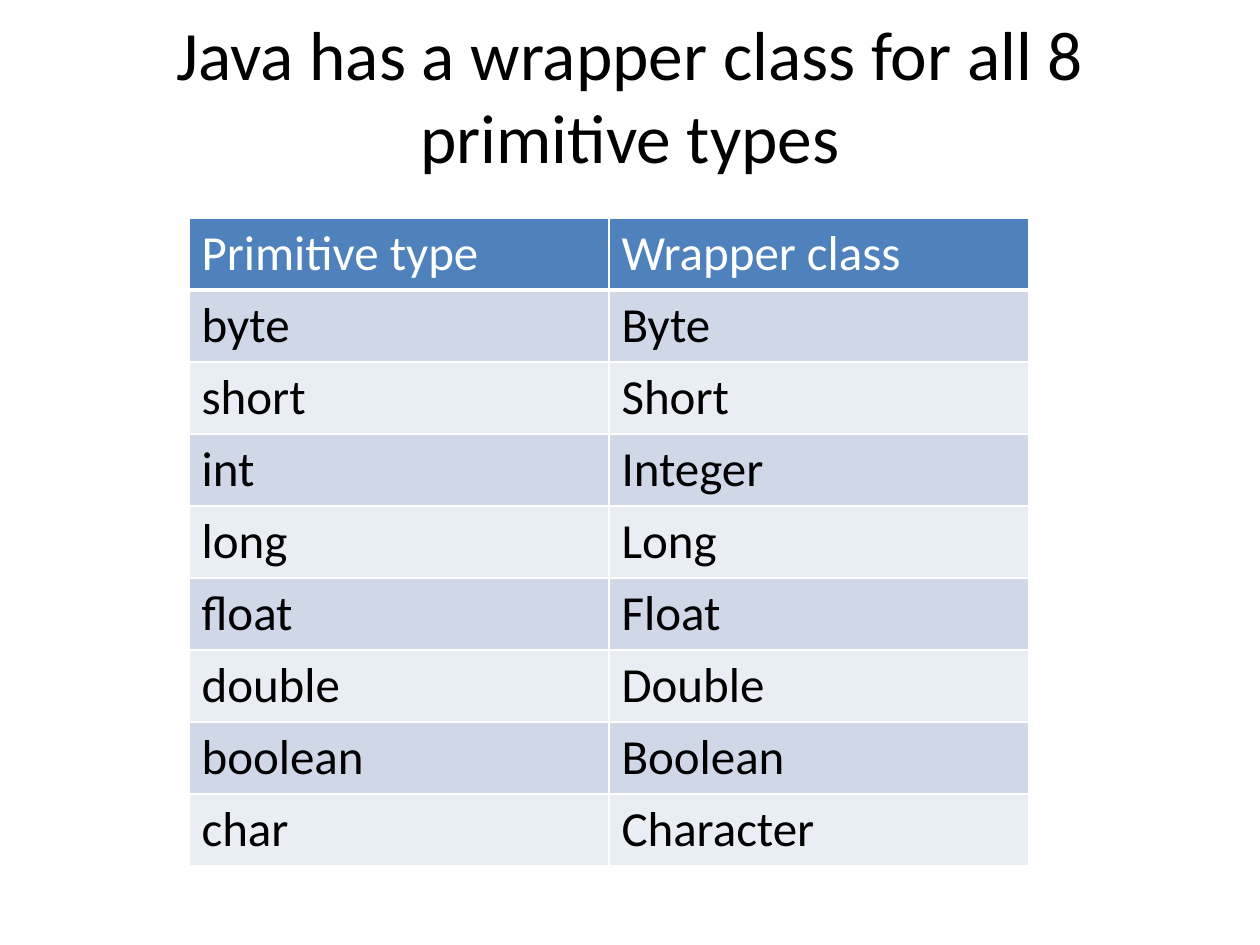
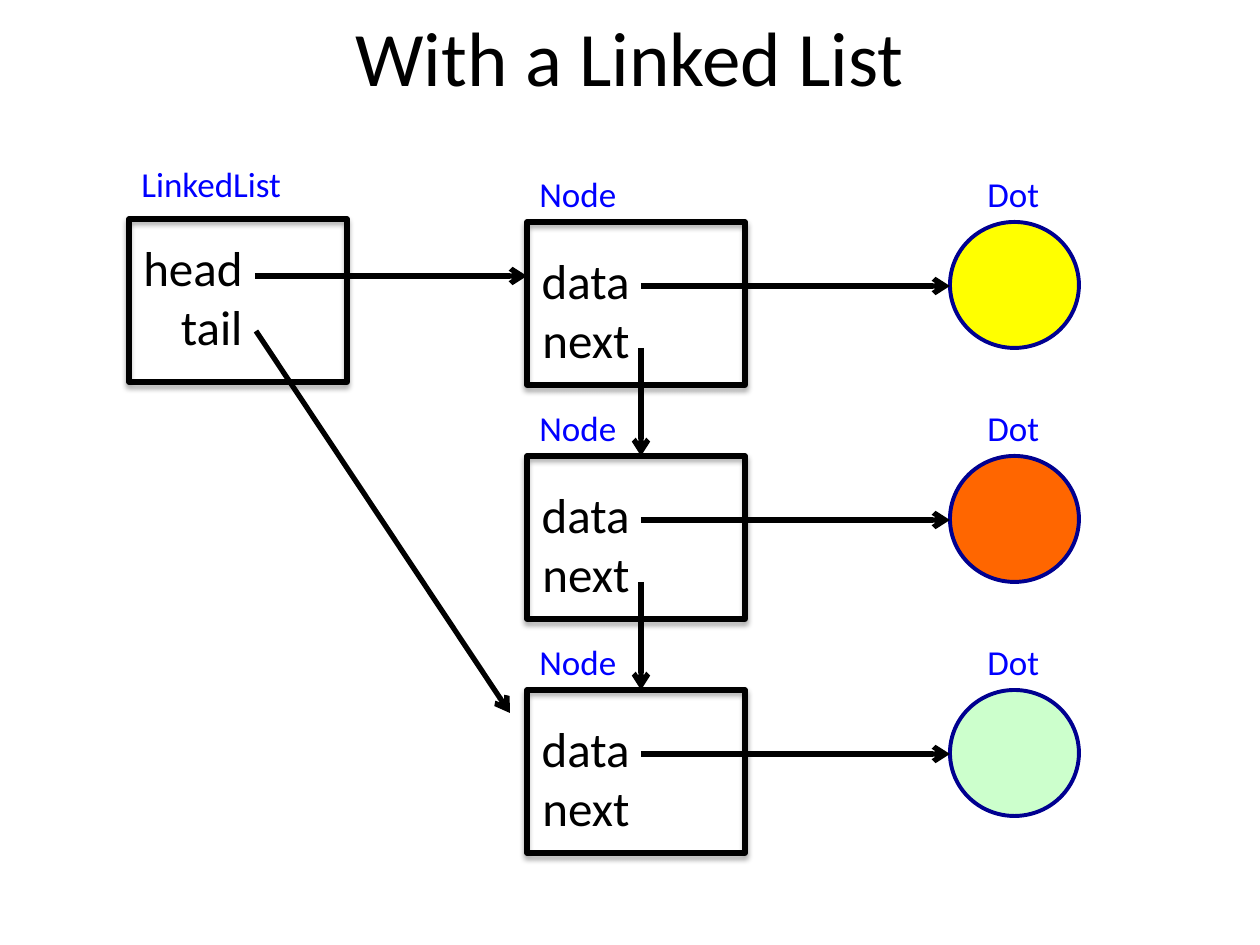
from lxml.etree import SubElement
from pptx import Presentation
from pptx.dml.color import RGBColor
from pptx.enum.shapes import MSO_CONNECTOR, MSO_SHAPE
from pptx.enum.text import MSO_ANCHOR, MSO_AUTO_SIZE, PP_ALIGN
from pptx.oxml.ns import qn
from pptx.util import Emu, Pt

EMU_PER_PX = 914400 / 126
FONT = "Calibri"
BLACK, WHITE = "000000", "FFFFFF"
LABEL_BLUE, OUTLINE_NAVY = "0000FF", "000090"
HEADER_FILL, BAND_FILLS = "4F81BD", ("D0D8E8", "E9EDF4")

TYPES = [
    ("Primitive type", "Wrapper class"),
    ("byte", "Byte"),
    ("short", "Short"),
    ("int", "Integer"),
    ("long", "Long"),
    ("float", "Float"),
    ("double", "Double"),
    ("boolean", "Boolean"),
    ("char", "Character"),
]

DOT_FILLS = ["FFFF00", "FF6600", "CCFFCC"]
LIST_LEFT, LIST_TOP = 129, 219
NODE_LEFT, NODE_TOP, NODE_PITCH = 527, 222, 234
RECORD_WIDTH, RECORD_HEIGHT = 218, 163
POINTER_LEFT, DOT_LEFT = 641, 950


def px(*lengths):
    return [Emu(round(length * EMU_PER_PX)) for length in lengths]


def color(value):
    return RGBColor.from_string(value)


def apply(target, values):
    for name, value in values.items():
        setattr(target, name, value)


def write(frame, lines, size, ink=BLACK, align=PP_ALIGN.LEFT):
    for index, line in enumerate(lines):
        paragraph = frame.paragraphs[0] if index == 0 else frame.add_paragraph()
        paragraph.alignment = align
        span = paragraph.add_run()
        span.text = line
        apply(span.font, {"name": FONT, "size": Pt(size), "bold": False})
        span.font.color.rgb = color(ink)


def add_title(page, text, top, size):
    box = page.shapes.add_textbox(*px(63, top, 1134, 157))
    apply(box.text_frame, {"word_wrap": True, "vertical_anchor": MSO_ANCHOR.MIDDLE})
    write(box.text_frame, [text], size, align=PP_ALIGN.CENTER)


def add_text(page, lines, bounds, size, ink=BLACK, align=PP_ALIGN.LEFT):
    box = page.shapes.add_textbox(*px(*bounds))
    apply(box.text_frame, {"word_wrap": False, "auto_size": MSO_AUTO_SIZE.SHAPE_TO_FIT_TEXT})
    write(box.text_frame, lines, size, ink, align)


def add_label(page, text, left, top, width):
    add_text(page, [text], (left, top, width, 55), 20, LABEL_BLUE)


def add_outline(page, kind, bounds, ink, weight):
    shape = page.shapes.add_shape(kind, *px(*bounds))
    shape.shadow.inherit = False
    shape.fill.background()
    shape.line.color.rgb = color(ink)
    shape.line.width = Pt(weight)
    return shape


def add_record(page, left, top, fields, fields_top, fields_width):
    bounds = (left, top, RECORD_WIDTH, RECORD_HEIGHT)
    frame = add_outline(page, MSO_SHAPE.RECTANGLE, bounds, BLACK, 3)
    effects = frame.element.spPr.find(qn("a:effectLst"))
    shadow = SubElement(effects, qn("a:outerShdw"), blurRad="39370", dist="22860",
                        dir="5400000", rotWithShape="0")
    tint = SubElement(shadow, qn("a:srgbClr"), val=BLACK)
    SubElement(tint, qn("a:alpha"), val="35000")
    add_text(page, fields, (left, fields_top, fields_width, 131), 28, align=PP_ALIGN.RIGHT)


def add_dot(page, top, fill):
    dot = add_outline(page, MSO_SHAPE.OVAL, (DOT_LEFT, top, 129, 126), OUTLINE_NAVY, 2.25)
    dot.fill.solid()
    dot.fill.fore_color.rgb = color(fill)


def add_arrow(page, *ends):
    arrow = page.shapes.add_connector(MSO_CONNECTOR.STRAIGHT, *px(*ends))
    arrow.line.color.rgb = color(BLACK)
    arrow.line.width = Pt(3)
    properties = arrow.element.spPr
    SubElement(properties.find(qn("a:ln")), qn("a:tailEnd"), type="arrow")
    SubElement(properties, qn("a:effectLst"))


def set_borders(cell, bottom_weight):
    properties = cell._tc.get_or_add_tcPr()
    for side, weight in {"L": 1, "R": 1, "T": 1, "B": bottom_weight}.items():
        border = SubElement(properties, qn(f"a:ln{side}"), w=str(Pt(weight)))
        SubElement(SubElement(border, qn("a:solidFill")), qn("a:srgbClr"), val=WHITE)


def add_type_table(page):
    bounds = px(189, 218, 840, 72 * len(TYPES))
    table = page.shapes.add_table(len(TYPES), 2, *bounds).table
    for row, names in enumerate(TYPES):
        header = row == 0
        for column, name in enumerate(names):
            cell = table.cell(row, column)
            set_borders(cell, 3 if header else 1)
            cell.fill.solid()
            cell.fill.fore_color.rgb = color(HEADER_FILL if header else BAND_FILLS[(row - 1) % 2])
            write(cell.text_frame, [name], 28, WHITE if header else BLACK)


def add_node(page, top, dot_fill):
    add_dot(page, top, dot_fill)
    add_record(page, NODE_LEFT, top, ["data", "next"], top + 22, 115)
    add_arrow(page, POINTER_LEFT, top + 64, DOT_LEFT, top + 64)
    add_label(page, "Node", NODE_LEFT, top - 56, 103)
    add_label(page, "Dot", 975, top - 56, 78)


def add_linked_list(page):
    add_record(page, LIST_LEFT, LIST_TOP, ["head", "tail"], 231, 126)
    add_label(page, "LinkedList", LIST_LEFT, 156, 168)
    tops = [NODE_TOP + index * NODE_PITCH for index in range(len(DOT_FILLS))]
    for top, fill in zip(tops, DOT_FILLS):
        add_node(page, top, fill)
    for top, following in zip(tops, tops[1:]):
        add_arrow(page, POINTER_LEFT, top + 126, POINTER_LEFT, following)
    add_arrow(page, 255, 276, NODE_LEFT, 276)
    add_arrow(page, 256, 331, 510, 713)


def main():
    deck = Presentation()
    deck.slide_width, deck.slide_height = px(1260, 945)
    blank = deck.slide_layouts[6]

    types_page = deck.slides.add_slide(blank)
    add_title(types_page, "Java has a wrapper class for all 8 primitive types", 16, 39.6)
    add_type_table(types_page)

    list_page = deck.slides.add_slide(blank)
    add_title(list_page, "With a Linked List", -23, 44)
    add_linked_list(list_page)

    deck.save("out.pptx")


if __name__ == "__main__":
    main()
